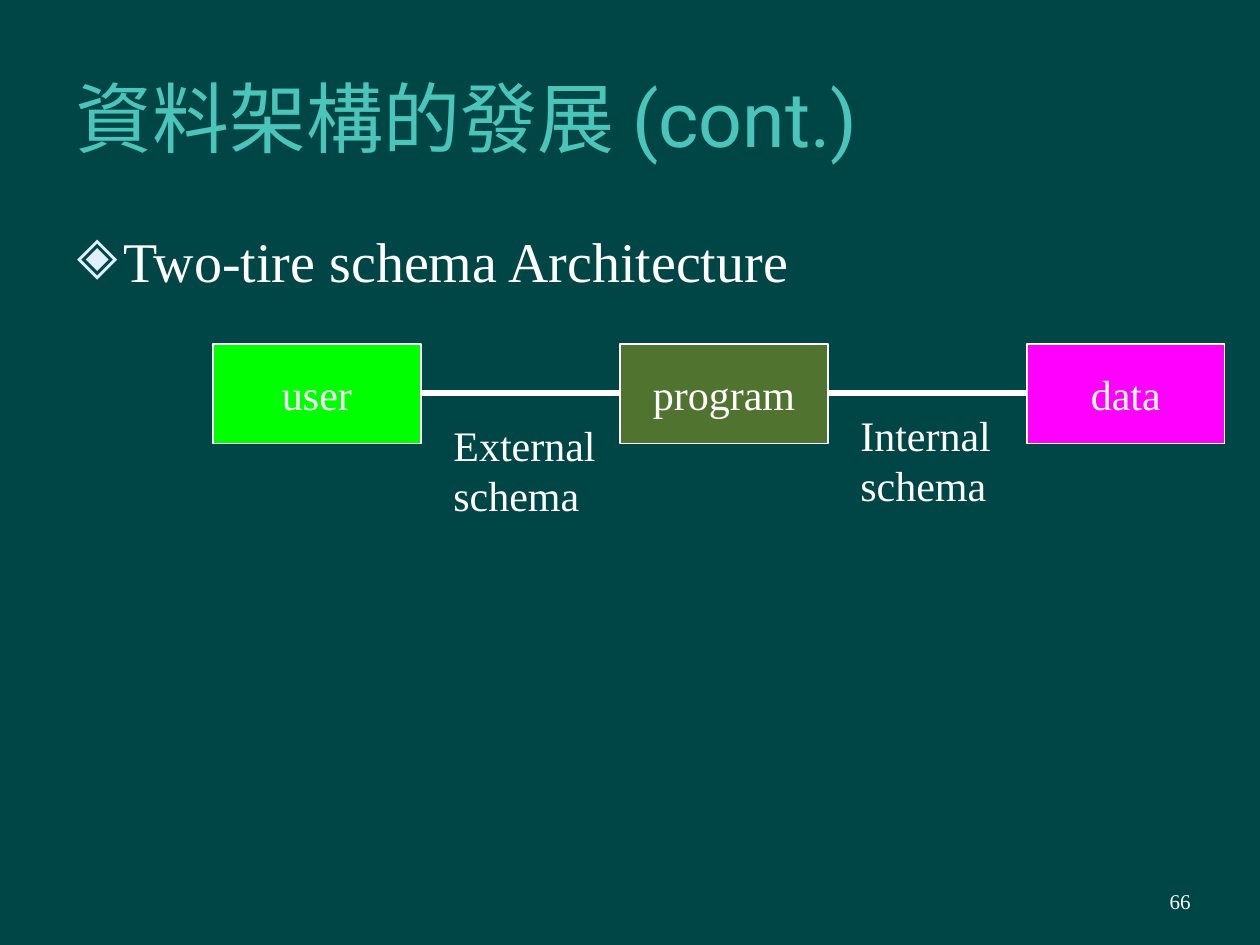
from dataclasses import dataclass

from lxml import etree
from pptx import Presentation
from pptx.dml.color import RGBColor
from pptx.enum.shapes import MSO_CONNECTOR, MSO_SHAPE
from pptx.enum.text import MSO_ANCHOR, MSO_AUTO_SIZE, PP_ALIGN
from pptx.oxml.ns import qn
from pptx.util import Inches, Pt

RECT, STRAIGHT = MSO_SHAPE.RECTANGLE, MSO_CONNECTOR.STRAIGHT
TOP, MIDDLE = MSO_ANCHOR.TOP, MSO_ANCHOR.MIDDLE
LEFT, CENTER, RIGHT = PP_ALIGN.LEFT, PP_ALIGN.CENTER, PP_ALIGN.RIGHT
NO_FIT = MSO_AUTO_SIZE.NONE
COLORS = {
    "background": "004646", "title": "4BC5B9", "text": "FFFFFF",
    "bullet": "E1F0FF", "user": "00FF00", "program": "50742F",
    "data": "FF00FF",
}
BOX_TOP, BOX_HEIGHT = 2.73, 0.79
LINE_Y = 3.12


@dataclass
class Box:
    name: str
    left: float
    width: float


@dataclass
class Schema:
    text: str
    left: float
    top: float
    width: float


def rgb(name: str) -> RGBColor:
    return RGBColor.from_string(COLORS[name])


def place(s, left: float, top: float, width: float, height: float) -> None:
    s.left, s.top = Inches(left), Inches(top)
    s.width, s.height = Inches(width), Inches(height)


def add_bullet(p, char: str, indent: float) -> None:
    pPr = p._p.get_or_add_pPr()
    pPr.set("marL", str(Inches(indent)))
    pPr.set("indent", str(-Inches(indent)))
    color = etree.SubElement(pPr, qn("a:buClr"))
    etree.SubElement(color, qn("a:srgbClr"), val=COLORS["bullet"])
    etree.SubElement(pPr, qn("a:buChar"), char=char)


def write(s, text: str, *, size: int = 24, font: str = "Times New Roman",
          color: str = "text", align=LEFT, anchor=MIDDLE, margin: float = 0.1,
          wrap: bool = True, bullet: str = "") -> None:
    tf = s.text_frame
    tf.auto_size, tf.word_wrap, tf.vertical_anchor = NO_FIT, wrap, anchor
    tf.margin_left = tf.margin_right = Inches(margin)
    tf.margin_top = tf.margin_bottom = Inches(0.05)
    for i, line in enumerate(text.split("\n")):
        p = tf.add_paragraph() if i else tf.paragraphs[0]
        p.alignment, p.space_before = align, Pt(0)
        if bullet:
            add_bullet(p, bullet, 0.38)
        r = p.add_run()
        r.text = line
        r.font.size, r.font.name = Pt(size), font
        r.font.color.rgb = rgb(color)


def add_box(slide, box: Box) -> None:
    s = slide.shapes.add_shape(RECT, Inches(box.left), Inches(BOX_TOP),
                               Inches(box.width), Inches(BOX_HEIGHT))
    s.shadow.inherit = False
    s.fill.solid()
    s.fill.fore_color.rgb = rgb(box.name)
    s.line.color.rgb, s.line.width = rgb("text"), Pt(1)
    write(s, box.name, align=CENTER)


def add_link(slide, start: Box, end: Box) -> None:
    c = slide.shapes.add_connector(
        STRAIGHT, Inches(start.left + start.width), Inches(LINE_Y),
        Inches(end.left), Inches(LINE_Y))
    c.line.color.rgb, c.line.width = rgb("text"), Pt(3)
    etree.SubElement(c._element.spPr, qn("a:effectLst"))


def add_label(slide, text: str, left: float, top: float, width: float,
              height: float, **style) -> None:
    s = slide.shapes.add_textbox(Inches(left), Inches(top),
                                 Inches(width), Inches(height))
    write(s, text, **style)


def main() -> None:
    prs = Presentation()
    prs.slide_width, prs.slide_height = Inches(10), Inches(7.5)
    slide = prs.slides.add_slide(prs.slide_layouts[1])
    slide.background.fill.solid()
    slide.background.fill.fore_color.rgb = rgb("background")

    title, body = slide.placeholders
    place(title, 0.5, 0.3, 8.5, 1.25)
    write(title, "資料架構的發展 (cont.)", size=44, font="Roboto", color="title")
    place(body, 0.5, 1.75, 9, 4.95)
    write(body, "Two-tire schema Architecture", size=32, anchor=TOP, bullet="🞛")

    boxes = [Box("user", 1.69, 1.65), Box("program", 4.92, 1.65),
             Box("data", 8.15, 1.57)]
    schemas = [Schema("External\nschema", 3.5, 3.28, 1.41),
               Schema("Internal\nschema", 6.73, 3.2, 1.32)]
    for box in boxes:
        add_box(slide, box)
    for start, end in zip(boxes, boxes[1:]):
        add_link(slide, start, end)
    for schema in schemas:
        add_label(slide, schema.text, schema.left, schema.top, schema.width, 0.9,
                  anchor=TOP, wrap=False)
    add_label(slide, "66", 7.17, 6.95, 2.33, 0.4, size=12, align=RIGHT, margin=0.05)
    prs.save("out.pptx")


if __name__ == "__main__":
    main()
